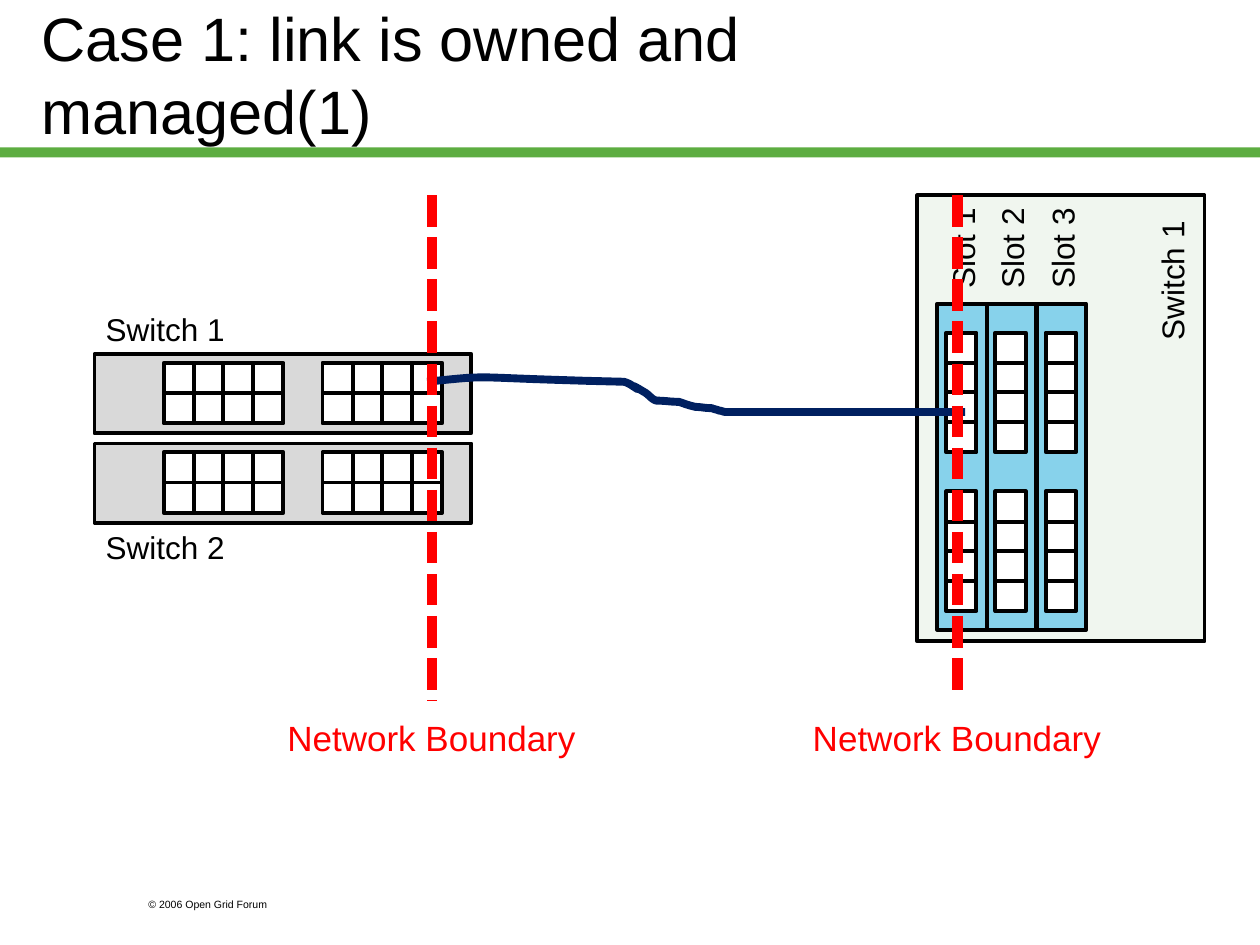
from itertools import product

from lxml import etree
from pptx import Presentation
from pptx.dml.color import RGBColor
from pptx.enum.dml import MSO_LINE
from pptx.enum.shapes import MSO_CONNECTOR, MSO_SHAPE
from pptx.enum.text import MSO_ANCHOR, MSO_AUTO_SIZE, PP_ALIGN
from pptx.oxml.ns import qn
from pptx.util import Pt

PX = 9144  # EMU per px, 100 px to the inch
TITLE_ONLY = 5
RECTANGLE = MSO_SHAPE.RECTANGLE
STRAIGHT = MSO_CONNECTOR.STRAIGHT
SHORT_DASH = MSO_LINE.SQUARE_DOT
LEFT, CENTER = PP_ALIGN.LEFT, PP_ALIGN.CENTER
MIDDLE = MSO_ANCHOR.MIDDLE
NO_AUTOFIT = MSO_AUTO_SIZE.NONE
FIT_SHAPE = MSO_AUTO_SIZE.SHAPE_TO_FIT_TEXT

FONT = "Arial"
COLORS = {
    "text": "000000",
    "outline": "000000",
    "rule": "5DAD41",
    "chassis": "F0F6EF",
    "switch": "D9D9D9",
    "module": "87D2EB",
    "port": "FFFFFF",
    "cable": "002060",
    "boundary": "FF0000",
}

PORT_SIZE = 24
PORT_OFFSETS = (0, 24, 47, 71)

CABLE_START = (339, 303)
CABLE_CURVES = (
    ((399, 297), (362, 300), (494, 303)),
    ((496, 303), (498, 304), (500, 305)),
    ((517, 316), (491, 299), (511, 311)),
    ((515, 313), (517, 317), (521, 318)),
    ((527, 318), (533, 319), (539, 319)),
    ((545, 321), (544, 321), (552, 323)),
    ((556, 323), (560, 324), (565, 324)),
    ((567, 325), (569, 325), (571, 326)),
    ((573, 326), (574, 327), (576, 327)),
)
CABLE_END = (766, 327)
CURVE_STEPS = 12


def color(name):
    return RGBColor.from_string(COLORS[name])


def to_emu(*lengths):
    return [round(length * PX) for length in lengths]


def set_line(line, color_name, width):
    line.color.rgb = color(color_name)
    line.width = Pt(width)


def add_box(slide, box, fill, outlined=True):
    shape = slide.shapes.add_shape(RECTANGLE, *to_emu(*box))
    shape.shadow.inherit = False
    shape.fill.solid()
    shape.fill.fore_color.rgb = color(fill)
    if outlined:
        set_line(shape.line, "outline", 2.25)
    else:
        shape.line.fill.background()


def write_text(text_frame, text, size, color_name="text", alignment=LEFT):
    text_frame.text = text
    paragraph = text_frame.paragraphs[0]
    paragraph.alignment = alignment
    font_format = {"name": FONT, "size": Pt(size)}
    for attribute, value in font_format.items():
        setattr(paragraph.font, attribute, value)
    paragraph.font.color.rgb = color(color_name)


def add_label(slide, box, text, size=18, rotation=0, wrap=False, **text_format):
    label = slide.shapes.add_textbox(*to_emu(*box))
    label.rotation = rotation
    label.text_frame.word_wrap = wrap
    label.text_frame.auto_size = FIT_SHAPE
    write_text(label.text_frame, text, size, **text_format)


def add_ports(slide, left, top, columns, rows):
    for x, y in product(PORT_OFFSETS[:columns], PORT_OFFSETS[:rows]):
        add_box(slide, (left + x, top + y, PORT_SIZE, PORT_SIZE), "port")


def add_heading(slide, box):
    """Place the title and, along its lower edge, the full-width rule."""
    left, top, width, height = box
    add_box(slide, (0, top + height, 1000, 8), "rule", outlined=False)
    title = slide.shapes.title
    title.left, title.top, title.width, title.height = to_emu(*box)
    frame_format = {"word_wrap": True, "auto_size": NO_AUTOFIT, "vertical_anchor": MIDDLE}
    for attribute, value in frame_format.items():
        setattr(title.text_frame, attribute, value)
    write_text(title.text_frame, "Case 1: link is owned and managed(1)", 35)


def add_switch(slide, box, name, label_top):
    left, top = box[:2]
    add_box(slide, box, "switch")
    for bank_offset in (55, 181):
        add_ports(slide, left + bank_offset, top + 7, columns=4, rows=2)
    add_label(slide, (left - 1, label_top, 116, 40), name)


def add_slot_module(slide, box, name):
    left, top = box[:2]
    add_box(slide, box, "module")
    for bank_offset in (23, 149):
        add_ports(slide, left + 7, top + bank_offset, columns=1, rows=4)
    add_label(slide, (left - 22, top - 64, 84, 40), name, rotation=270)


def add_modular_switch(slide, box):
    left, top = box[:2]
    add_box(slide, box, "chassis")
    for number, module_offset in enumerate((16, 55, 95), start=1):
        module_box = (left + module_offset, top + 86, 39, 259)
        add_slot_module(slide, module_box, f"Slot {number}")
    add_label(slide, (left + 143, top + 46, 118, 40), "Switch 1", rotation=270, wrap=True)


def curve_points(start, first_control, second_control, end):
    """Return points along a cubic curve, without its start."""
    points = []
    for step in range(1, CURVE_STEPS + 1):
        t = step / CURVE_STEPS
        weights = ((1 - t) ** 3, 3 * t * (1 - t) ** 2, 3 * t**2 * (1 - t), t**3)
        corners = (start, first_control, second_control, end)
        points.append([sum(w * c[axis] for w, c in zip(weights, corners)) for axis in (0, 1)])
    return points


def add_cable(slide):
    points, start = [], CABLE_START
    for curve in CABLE_CURVES:
        points += curve_points(start, *curve)
        start = curve[-1]
    points.append(CABLE_END)
    builder = slide.shapes.build_freeform(*to_emu(*CABLE_START))
    builder.add_line_segments([to_emu(*point) for point in points], close=False)
    cable = builder.convert_to_shape()
    cable.shadow.inherit = False
    cable.fill.background()
    set_line(cable.line, "cable", 4.5)


def add_boundary(slide, x, top, bottom):
    line = slide.shapes.add_connector(STRAIGHT, *to_emu(x, top, x, bottom))
    set_line(line.line, "boundary", 6)
    line.line.dash_style = SHORT_DASH
    etree.SubElement(line._element.spPr, qn("a:effectLst"))
    add_label(slide, (x - 125, 564, 249, 44), "Network Boundary", size=20,
              color_name="boundary", alignment=CENTER)


def main():
    presentation = Presentation()
    presentation.slide_width, presentation.slide_height = to_emu(1000, 750)
    slide = presentation.slides.add_slide(presentation.slide_layouts[TITLE_ONLY])

    add_heading(slide, (23, 0, 805, 117))
    add_label(slide, (108, 708, 150, 20), "© 2006 Open Grid Forum", size=6, wrap=True)
    add_modular_switch(slide, (728, 155, 228, 354))
    add_switch(slide, (75, 281, 299, 63), "Switch 1", label_top=241)
    add_switch(slide, (75, 352, 299, 63), "Switch 2", label_top=414)
    add_cable(slide)
    add_boundary(slide, 343, 155, 556)
    add_boundary(slide, 760, 155, 548)

    presentation.save("out.pptx")


if __name__ == "__main__":
    main()
